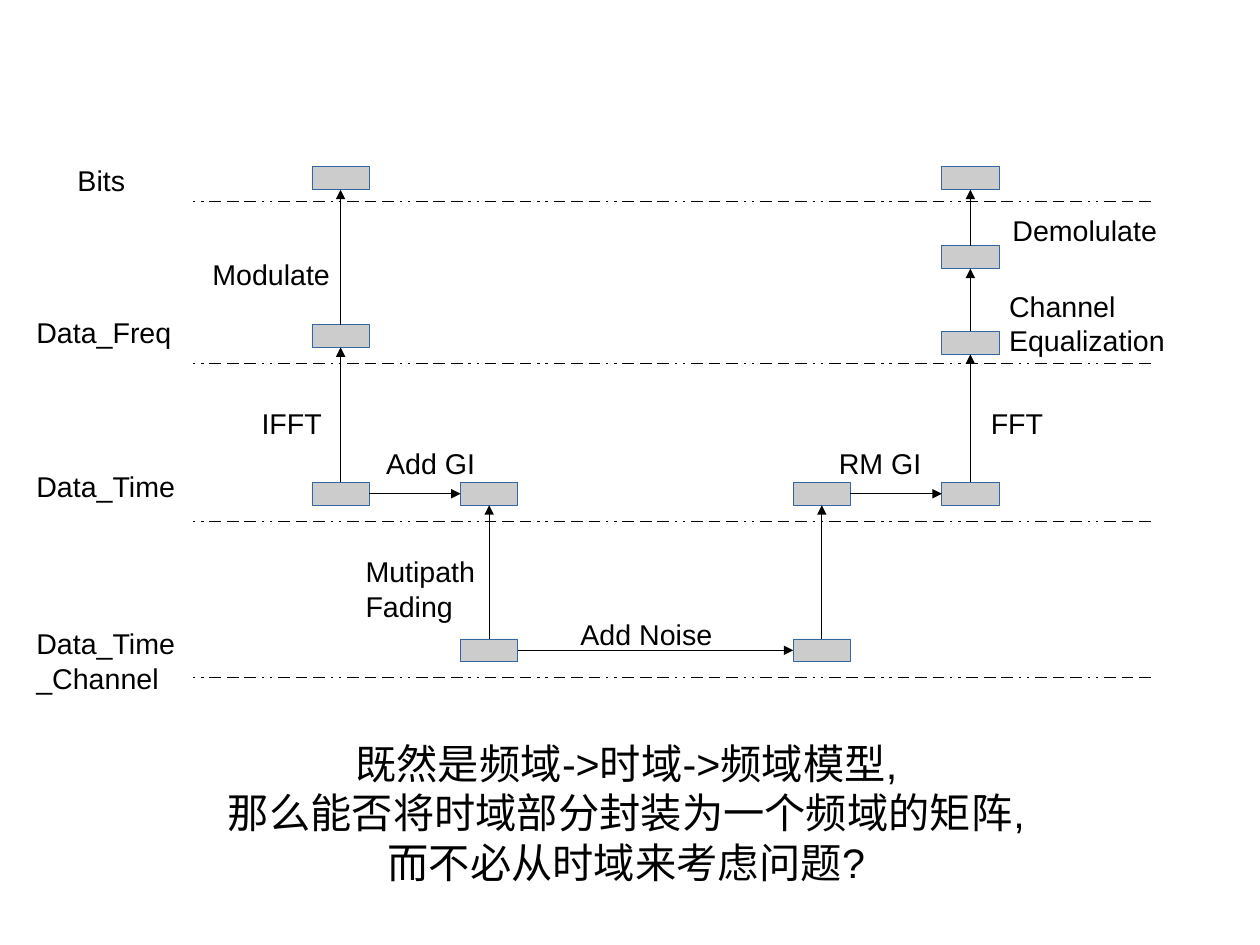
"""Draw the transmit and receive chain of a multicarrier link across four signal domains."""
from dataclasses import dataclass
from typing import NamedTuple

from lxml.etree import SubElement
from pptx import Presentation
from pptx.dml.color import RGBColor
from pptx.enum.shapes import MSO_CONNECTOR, MSO_SHAPE
from pptx.enum.text import PP_ALIGN
from pptx.oxml.ns import qn
from pptx.shapes.autoshape import Shape
from pptx.shapes.connector import Connector
from pptx.slide import Slide
from pptx.util import Inches, Length, Pt


@dataclass(frozen=True)
class Theme:
    """Colours, type sizes and line width of the slide."""
    ink: RGBColor = RGBColor(0x00, 0x00, 0x00)
    block_fill: RGBColor = RGBColor(0xCC, 0xCC, 0xCC)
    block_edge: RGBColor = RGBColor(0x34, 0x65, 0xA4)
    font: str = "Arial"
    label_size: Length = Pt(18)
    question_size: Length = Pt(26)
    hairline: Length = Pt(0.5)


class Label(NamedTuple):
    """A text box with one paragraph per line."""
    left: float
    top: float
    width: float
    height: float
    lines: tuple[str, ...]


class Block(NamedTuple):
    """A signal block, by name and top left corner."""
    name: str
    left: float
    top: float


class Step(NamedTuple):
    """An arrow from one named block to another."""
    source: str
    target: str


THEME = Theme()
CM_PER_INCH = 2.54
PAGE_WIDTH, PAGE_HEIGHT = 28 / CM_PER_INCH, 21 / CM_PER_INCH
BLOCK_WIDTH, BLOCK_HEIGHT = 0.5, 0.2
DIVIDER_LEFT, DIVIDER_RIGHT = 1.69, 10.09
TOP_SITE, LEFT_SITE, BOTTOM_SITE, RIGHT_SITE = range(4)
DOT, DASH, GAP = "288000", "1440000", "720000"

SEND, SEND_GUARD, RECEIVE_GUARD, RECEIVE = 2.73, 4.03, 6.94, 8.24
BITS, FREQUENCY, TIME, CHANNEL = 1.46, 2.84, 4.22, 5.59
DIVIDERS = (1.76, 3.18, 4.56, 5.93)

BLOCKS = (
    Block("sent bits", SEND, BITS),
    Block("sent frequency", SEND, FREQUENCY),
    Block("sent time", SEND, TIME),
    Block("sent guarded", SEND_GUARD, TIME),
    Block("sent channel", SEND_GUARD, CHANNEL),
    Block("received channel", RECEIVE_GUARD, CHANNEL),
    Block("received guarded", RECEIVE_GUARD, TIME),
    Block("received time", RECEIVE, TIME),
    Block("received frequency", RECEIVE, 2.9),
    Block("equalized", RECEIVE, 2.15),
    Block("received bits", RECEIVE, BITS),
)

STEPS = (
    Step("sent frequency", "sent bits"),
    Step("sent time", "sent frequency"),
    Step("sent time", "sent guarded"),
    Step("sent channel", "sent guarded"),
    Step("sent channel", "received channel"),
    Step("received channel", "received guarded"),
    Step("received guarded", "received time"),
    Step("received time", "received frequency"),
    Step("received frequency", "equalized"),
    Step("equalized", "received bits"),
)

LABELS = (
    Label(0.58, 1.38, 0.8, 0.38, ("Bits",)),
    Label(0.22, 2.71, 1.5, 0.4, ("Data_Freq",)),
    Label(0.22, 4.05, 1.5, 0.4, ("Data_Time",)),
    Label(0.22, 5.43, 1.5, 0.66, ("Data_Time_Channel",)),
    Label(1.76, 2.2, 1.41, 0.66, ("Modulate",)),
    Label(2.19, 3.5, 0.8, 0.38, ("IFFT",)),
    Label(3.28, 3.85, 1.02, 0.66, ("Add GI",)),
    Label(3.1, 4.8, 1.27, 0.94, ("Mutipath", "Fading")),
    Label(4.98, 5.35, 1.51, 0.66, ("Add Noise",)),
    Label(7.24, 3.85, 1.0, 0.38, ("RM GI",)),
    Label(8.57, 3.5, 0.8, 0.38, ("FFT",)),
    Label(8.73, 2.48, 1.71, 1.0, ("Channel", "Equalization")),
    Label(8.76, 1.81, 1.6, 0.56, ("Demolulate",)),
)

QUESTION = Label(1.73, 6.41, 7.5, 1.5, (
    "既然是频域->时域->频域模型,",
    "那么能否将时域部分封装为一个频域的矩阵,",
    "而不必从时域来考虑问题?",
))


def add_label(page: Slide, label: Label, size: Length, align: PP_ALIGN) -> None:
    """Add a text box, one paragraph and run per line."""
    box = page.shapes.add_textbox(*map(Inches, label[:4]))
    frame = box.text_frame
    frame.word_wrap = True
    for index, line in enumerate(label.lines):
        para = frame.add_paragraph() if index else frame.paragraphs[0]
        para.alignment = align
        span = para.add_run()
        span.text = line
        span.font.name = THEME.font
        span.font.size = size
        span.font.color.rgb = THEME.ink


def add_block(page: Slide, block: Block) -> Shape:
    """Add a grey signal block and return it."""
    box = page.shapes.add_shape(
        MSO_SHAPE.RECTANGLE, Inches(block.left), Inches(block.top),
        Inches(BLOCK_WIDTH), Inches(BLOCK_HEIGHT))
    box.shadow.inherit = False
    box.fill.solid()
    box.fill.fore_color.rgb = THEME.block_fill
    box.line.color.rgb = THEME.block_edge
    box.line.width = THEME.hairline
    return box


def add_line(page: Slide) -> Connector:
    """Add a straight black connector without a shadow."""
    line = page.shapes.add_connector(MSO_CONNECTOR.STRAIGHT, 0, 0, 0, 0)
    line.line.color.rgb = THEME.ink
    line.line.width = THEME.hairline
    SubElement(line._element.spPr, qn("a:effectLst"))
    return line


def add_divider(page: Slide, top: float) -> None:
    """Add a domain divider with a pattern of two dots and three dashes."""
    line = add_line(page)
    line.begin_x, line.end_x = Inches(DIVIDER_LEFT), Inches(DIVIDER_RIGHT)
    line.begin_y = line.end_y = Inches(top)
    pattern = SubElement(line.line._get_or_add_ln(), qn("a:custDash"))
    for length in (DOT,) * 2 + (DASH,) * 3:
        SubElement(pattern, qn("a:ds"), d=length, sp=GAP)


def add_arrow(page: Slide, source: Shape, target: Shape) -> None:
    """Join two blocks with an arrow, sideways within a row and upwards between rows."""
    same_row = source.top == target.top
    sites = (RIGHT_SITE, LEFT_SITE) if same_row else (TOP_SITE, BOTTOM_SITE)
    arrow = add_line(page)
    arrow.begin_connect(source, sites[0])
    arrow.end_connect(target, sites[1])
    SubElement(arrow.line._get_or_add_ln(), qn("a:tailEnd"), type="triangle")


def main() -> None:
    """Build the slide and save the deck."""
    deck = Presentation()
    deck.slide_width, deck.slide_height = Inches(PAGE_WIDTH), Inches(PAGE_HEIGHT)
    page = deck.slides.add_slide(deck.slide_layouts[6])
    for top in DIVIDERS:
        add_divider(page, top)
    boxes = {block.name: add_block(page, block) for block in BLOCKS}
    for step in STEPS:
        add_arrow(page, boxes[step.source], boxes[step.target])
    for label in LABELS:
        add_label(page, label, THEME.label_size, PP_ALIGN.LEFT)
    add_label(page, QUESTION, THEME.question_size, PP_ALIGN.CENTER)
    deck.save("out.pptx")


main()
